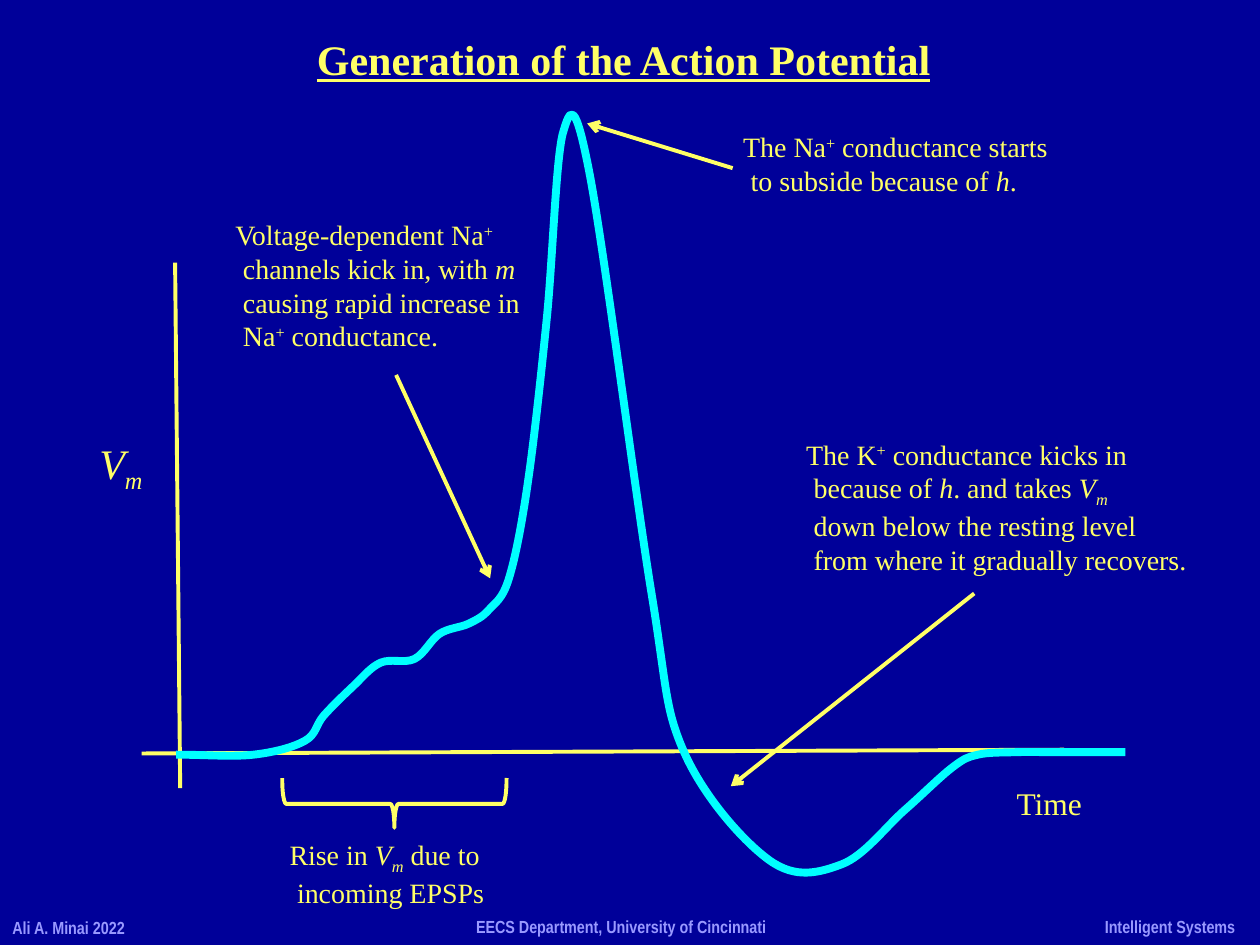
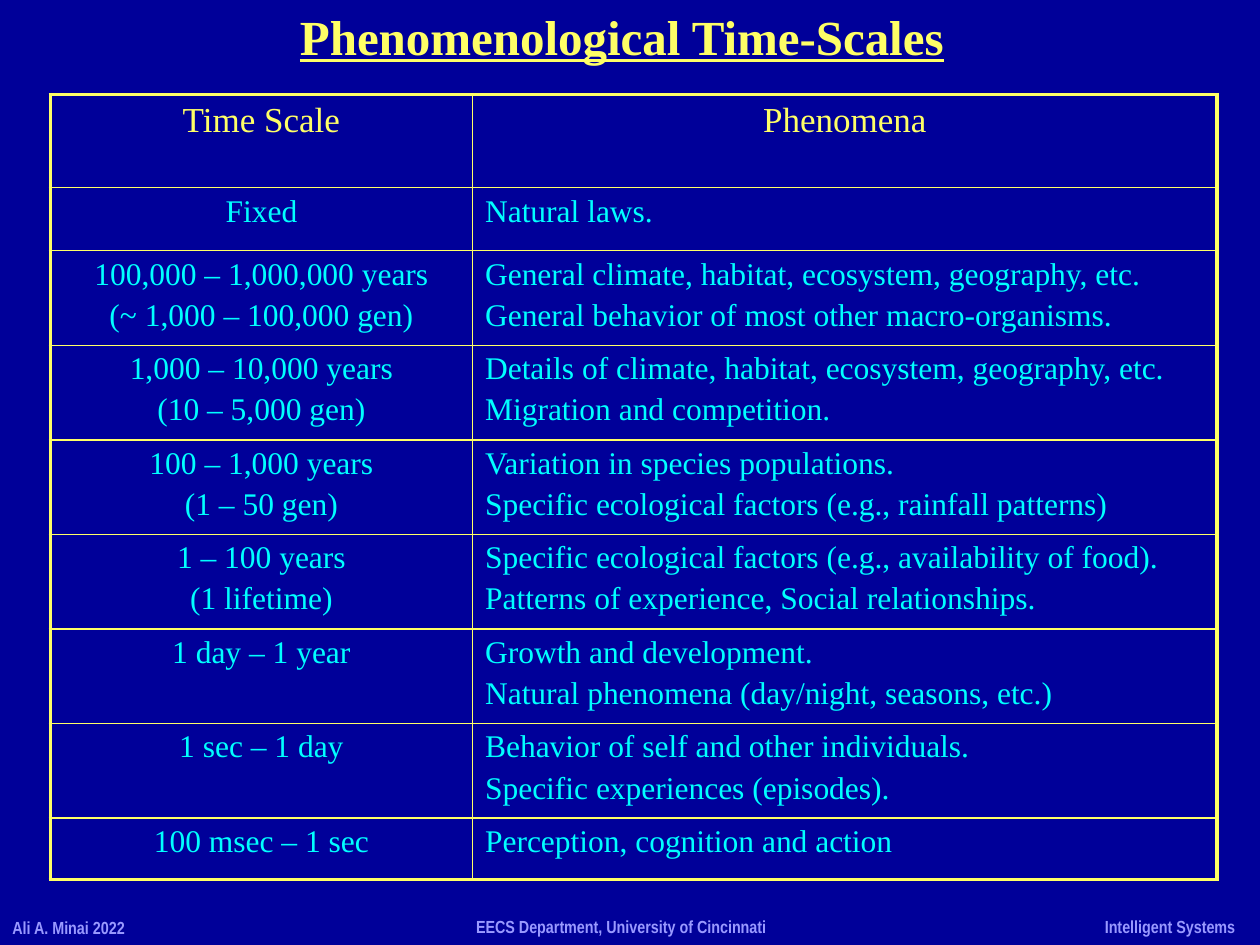
from lxml.etree import SubElement
from pptx import Presentation
from pptx.dml.color import RGBColor as RGB
from pptx.enum.shapes import MSO_CONNECTOR as LINK, MSO_SHAPE as SHAPE
from pptx.enum.text import MSO_AUTO_SIZE as AUTO, PP_ALIGN as ALIGN
from pptx.oxml.ns import qn
from pptx.util import Inches, Pt

NAVY, GOLD, AQUA, LILAC = "000099", "FFFF66", "00FFFF", "9999FF"
SERIF, NARROW = "Times New Roman", "Arial Narrow"
THICK, THIN = 2.25, 1
MARKS = {"i": (True, 0), "sub": (True, -25000), "sup": (False, 30000)}
VM = [("V", "i"), ("m", "sub")]
PLUS = ("+", "sup")

FOOT = [
    ("Ali A. Minai 2022", 0, 7.23, 1.1),
    ("EECS Department, University of Cincinnati", 3.68, 7.22, 2.52),
    ("Intelligent Systems", 8.67, 7.22, 1.24),
]
NOTES = [
    ((2.2, 6.6, 1.76, 0.64), [["Rise in ", *VM, " due to"], "incoming EPSPs"]),
    ((1.77, 1.68, 2.49, 1.18), [
        ["Voltage-dependent Na", PLUS],
        ["channels kick in, with ", ("m", "i")],
        "causing rapid increase in",
        ["Na", PLUS, " conductance."],
    ]),
    ((5.8, 0.98, 2.67, 0.64), [
        ["The Na", PLUS, " conductance starts"],
        ["to subside because of ", ("h", "i"), "."],
    ]),
    ((6.3, 3.42, 3.26, 1.18), [
        ["The K", PLUS, " conductance kicks in"],
        ["because of ", ("h", "i"), ". and takes ", *VM],
        "down below the resting level",
        "from where it gradually recovers.",
    ]),
]
AXES = [((1.39, 2.1), (1.43, 6.24)), ((1.14, 5.98), (8.43, 5.95))]
ARROWS = [
    ((3.15, 2.99), (3.89, 4.59)),
    ((5.8, 1.33), (4.66, 0.98)),
    ((7.72, 4.72), (5.8, 6.24)),
]
KNOTS = [
    (1.43, 5.99), (2.01, 5.99), (2.42, 5.88), (2.57, 5.68), (2.8, 5.45),
    (3.02, 5.26), (3.29, 5.23), (3.49, 5.03), (3.72, 4.95), (3.88, 4.84),
    (4.04, 4.59), (4.19, 3.83), (4.34, 2.53), (4.47, 1.05), (4.68, 1.38),
    (5.17, 4.7), (5.43, 5.97), (6.11, 6.83), (6.68, 6.86), (7.18, 6.43),
    (7.56, 6.09), (7.76, 5.99), (8.06, 5.97), (8.39, 5.97),
]
REST = (8.9, 5.97)
SPAN = (1.43, 0.91, 7.47, 6.02)
SCALES = [
    (["Time Scale"], ["Phenomena"]),
    (["Fixed"], ["Natural laws."]),
    (["100,000 – 1,000,000 years", "(~ 1,000 – 100,000 gen)"],
     ["General climate, habitat, ecosystem, geography, etc.",
      "General behavior of most other macro-organisms."]),
    (["1,000 – 10,000 years", "(10 – 5,000 gen)"],
     ["Details of climate, habitat, ecosystem, geography, etc.",
      "Migration and competition."]),
    (["100 – 1,000 years", "(1 – 50 gen)"],
     ["Variation in species populations.",
      "Specific ecological factors (e.g., rainfall patterns)"]),
    (["1 – 100 years", "(1 lifetime)"],
     ["Specific ecological factors (e.g., availability of food).",
      "Patterns of experience, Social relationships."]),
    (["1 day – 1 year"],
     ["Growth and development.",
      "Natural phenomena (day/night, seasons, etc.)"]),
    (["1 sec – 1 day"],
     ["Behavior of self and other individuals.",
      "Specific experiences (episodes)."]),
    (["100 msec – 1 sec"], ["Perception, cognition and action"]),
]


def paint(item, color):
    if hasattr(item, "solid"):
        item.solid()
        item.fore_color.rgb = RGB.from_string(color)
    else:
        item.color.rgb = RGB.from_string(color)


def write(frame, lines, size=16, color=GOLD, face=SERIF, bold=False,
          under=False, align=ALIGN.LEFT, gap=0, hang=0):
    for n, line in enumerate(lines):
        para = frame.add_paragraph() if n else frame.paragraphs[0]
        para.alignment = align
        if n and gap:
            para.space_before = Pt(gap)
        if n and hang:
            para._p.get_or_add_pPr().set("marL", str(Inches(hang)))
        for part in [line] if isinstance(line, str) else line:
            text, mark = (part, None) if isinstance(part, str) else part
            run = para.add_run()
            run.text = text
            font = run.font
            font.name, font.size, font.bold = face, Pt(size), bold
            font.underline = under
            paint(font, color)
            if mark:
                font.italic, base = MARKS[mark]
                if base:
                    run._r.get_or_add_rPr().set("baseline", str(base))


def label(slide, box, lines, **style):
    frame = slide.shapes.add_textbox(*map(Inches, box)).text_frame
    frame.word_wrap = False
    frame.auto_size = AUTO.SHAPE_TO_FIT_TEXT
    write(frame, lines, **style)


def title(slide, text, box, size):
    label(slide, box, [text], size=size, bold=True, under=True,
          align=ALIGN.CENTER)


def start(deck):
    slide = deck.slides.add_slide(deck.slide_layouts[6])
    for text, left, top, width in FOOT:
        label(slide, (left, top, width, 0.27), [text], size=10,
              color=LILAC, face=NARROW, bold=True)
    return slide


def stroke(line, color, width):
    paint(line, color)
    line.width = Pt(width)
    line._get_or_add_ln().set("cap", "sq")


def rule(slide, begin, end, arrow=False):
    link = slide.shapes.add_connector(
        LINK.STRAIGHT, *map(Inches, (*begin, *end)))
    stroke(link.line, GOLD, THICK)
    SubElement(link._element.spPr, qn("a:effectLst"))
    if arrow:
        SubElement(link.line._get_or_add_ln(), qn("a:tailEnd"), type="arrow")


def outline(shape, color, width):
    shape.shadow.inherit = False
    shape.fill.background()
    stroke(shape.line, color, width)


def brace(slide, box):
    shape = slide.shapes.add_shape(SHAPE.LEFT_BRACE, *map(Inches, box))
    shape.rotation = 270
    outline(shape, GOLD, THICK)


def bends(knots):
    def mirror(near, far):
        return tuple(2 * p - q for p, q in zip(near, far))

    pts = [mirror(knots[0], knots[1]), *knots, mirror(knots[-1], knots[-2])]
    for a, b, c, d in zip(pts, pts[1:], pts[2:], pts[3:]):
        yield (tuple(q + (r - p) / 6 for p, q, r in zip(a, b, c)),
               tuple(r - (s - q) / 6 for q, r, s in zip(b, c, d)), c)


def curve(slide, knots, tail, box):
    pen = slide.shapes.build_freeform(*map(Inches, knots[0]))
    pen.add_line_segments([(Inches(x), Inches(y))
                           for x, y in [*knots[1:], tail]], close=False)
    shape = pen.convert_to_shape()
    left, top, width, height = map(Inches, box)
    shape.left, shape.top, shape.width, shape.height = left, top, width, height
    track = next(shape._element.iter(qn("a:path")))
    track.set("w", str(width))
    track.set("h", str(height))
    steps = [[knots[0]], *bends(knots), [tail]]
    for step, pts in zip(list(track), steps):
        if len(pts) == 3:
            step.tag = qn("a:cubicBezTo")
        for old in list(step):
            step.remove(old)
        for x, y in pts:
            SubElement(step, qn("a:pt"), x=str(Inches(x) - left),
                       y=str(Inches(y) - top))
    outline(shape, AQUA, 4.5)


def border(cell, widths):
    cell.fill.background()
    props = cell._tc.get_or_add_tcPr()
    for n, (side, width) in enumerate(zip("LRTB", widths)):
        line = SubElement(props, qn("a:ln" + side), w=str(Pt(width)))
        fill = SubElement(line, qn("a:solidFill"))
        SubElement(fill, qn("a:srgbClr"), val=GOLD)
        props.insert(n, line)


def grid(slide, rows, left, top, widths, heights):
    table = slide.shapes.add_table(
        len(rows), len(widths), Inches(left), Inches(top),
        Inches(sum(widths)), Inches(sum(heights))).table
    table.first_row = table.horz_banding = False
    for col, width in zip(table.columns, widths):
        col.width = Inches(width)
    for r, (row, height) in enumerate(zip(rows, heights)):
        table.rows[r].height = Inches(height)
        for c, lines in enumerate(row):
            cell = table.cell(r, c)
            edges = (c == 0, c == len(widths) - 1,
                     r == 0, r == len(rows) - 1)
            border(cell, [THICK if edge else THIN for edge in edges])
            head = r == 0
            write(cell.text_frame, lines, size=20 if head else 18,
                  color=GOLD if head else AQUA, gap=3.6,
                  align=ALIGN.CENTER if head or c == 0 else ALIGN.LEFT)


def spike(deck):
    slide = start(deck)
    for ends in AXES:
        rule(slide, *ends)
    brace(slide, (2.94, 5.49, 0.38, 1.78))
    for box, lines in NOTES:
        label(slide, box, lines, hang=0.06)
    for ends in ARROWS:
        rule(slide, *ends, arrow=True)
    label(slide, (0.69, 3.42, 0.57, 0.5), [VM], size=24)
    label(slide, (7.97, 6.17, 0.73, 0.4), ["Time"], size=18)
    curve(slide, KNOTS, REST, SPAN)
    title(slide, "Generation of the Action Potential",
          (2.39, 0.22, 5.12, 0.5), 24)


def scales(deck):
    slide = start(deck)
    title(slide, "Phenomenological Time-Scales", (2.25, 0, 5.37, 0.57), 28)
    grid(slide, SCALES, 0.4, 0.75, (3.35, 5.91),
         (0.74, 0.5, *[0.75] * 6, 0.49))


def main():
    deck = Presentation()
    deck.slide_width, deck.slide_height = Inches(10), Inches(7.5)
    paint(deck.slide_master.background.fill, NAVY)
    spike(deck)
    scales(deck)
    deck.save("out.pptx")


if __name__ == "__main__":
    main()
